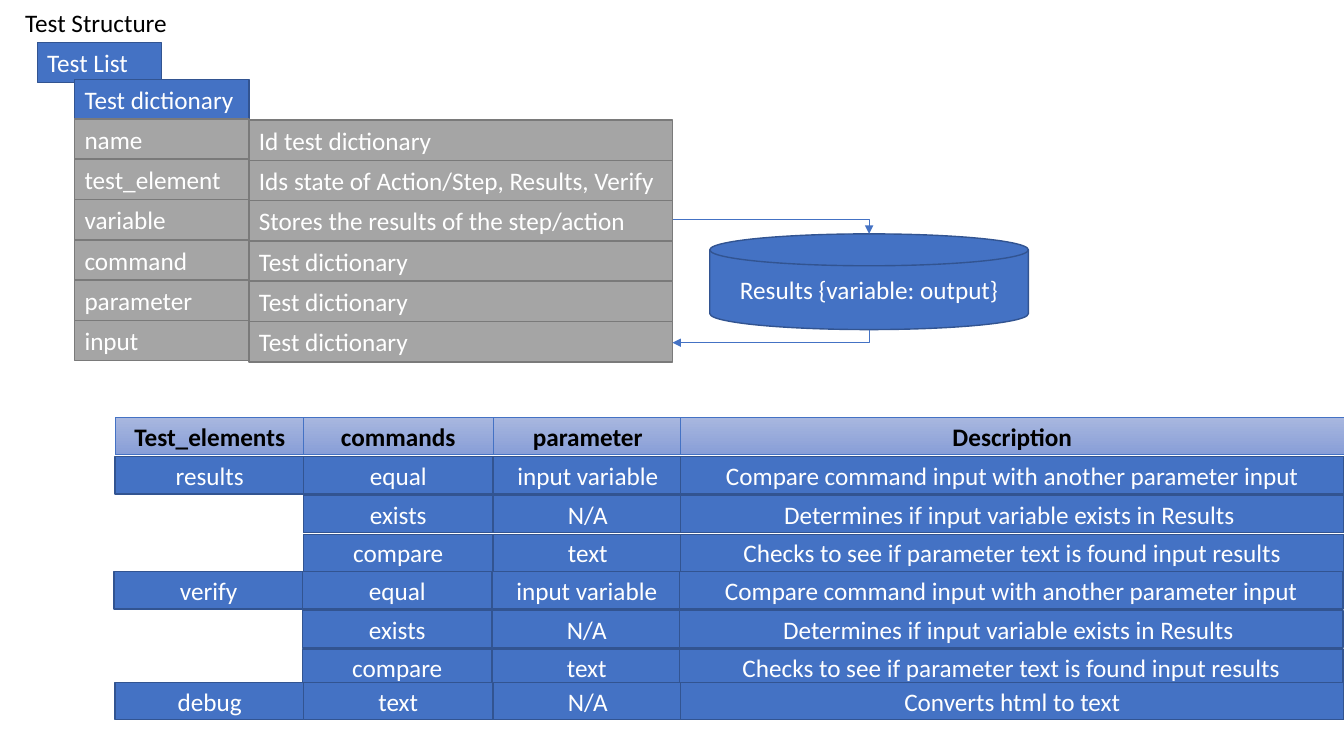
from pptx import Presentation
from pptx.dml.color import RGBColor
from pptx.enum.shapes import MSO_CONNECTOR, MSO_SHAPE as Shape
from pptx.enum.text import MSO_ANCHOR as Anchor, MSO_AUTO_SIZE as AutoSize, PP_ALIGN as Align
from pptx.oxml.ns import qn
from pptx.util import Inches, Pt
from lxml.etree import SubElement

COLORS = {
    "blue": "4472C4", "blue_edge": "325491",
    "gray": "A5A5A5", "gray_edge": "7A7A7A",
    "head_top": "A8B7DF", "head_bottom": "889ED7",
    "white": "FFFFFF", "black": "000000",
}


def rgb(name):
    return RGBColor.from_string(COLORS[name])


class SlideBuilder:
    font = "Calibri"
    size = Pt(18)

    def __init__(self, slide):
        self.slide = slide

    def set_text(self, shape, text, color, align=Align.LEFT, anchor=Anchor.TOP, bold=False):
        frame = shape.text_frame
        frame.text = text
        frame.vertical_anchor = anchor
        paragraph = frame.paragraphs[0]
        paragraph.alignment = align
        font = paragraph.runs[0].font
        font.name, font.size, font.bold = self.font, self.size, bold
        font.color.rgb = rgb(color)

    def title(self, text, left, top, width, height):
        heading = self.slide.shapes.title
        heading.left, heading.top = Inches(left), Inches(top)
        heading.width, heading.height = Inches(width), Inches(height)
        self.set_text(heading, text, "black")
        heading.text_frame.word_wrap = False
        heading.text_frame.auto_size = AutoSize.SHAPE_TO_FIT_TEXT

    def block(self, kind, left, top, width, height, fill, edge, edge_width=1):
        shape = self.slide.shapes.add_shape(
            kind, Inches(left), Inches(top), Inches(width), Inches(height))
        shape.shadow.inherit = False
        if fill == "gradient":
            shape.fill.gradient()
            shape.fill.gradient_angle = 270
            for stop, color in zip(shape.fill.gradient_stops, ("head_top", "head_bottom")):
                stop.color.rgb = rgb(color)
        else:
            shape.fill.solid()
            shape.fill.fore_color.rgb = rgb(fill)
        shape.line.color.rgb = rgb(edge)
        shape.line.width = Pt(edge_width)
        return shape

    def label(self, text, left, top, width, height=0.4, color="blue"):
        box = self.block(Shape.RECTANGLE, left, top, width, height, color, color + "_edge")
        self.set_text(box, text, "white")
        box.text_frame.word_wrap = True
        box.text_frame.auto_size = AutoSize.SHAPE_TO_FIT_TEXT

    def store(self, text, left, top, width, height):
        disk = self.block(Shape.FLOWCHART_MAGNETIC_DISK, left, top, width, height,
                          "blue", "blue_edge")
        self.set_text(disk, text, "white", Align.CENTER, Anchor.MIDDLE)

    def cell(self, text, left, top, width, height, header=False):
        style = ("gradient", "blue", 0.5) if header else ("blue", "blue_edge", 1)
        box = self.block(Shape.FLOWCHART_PROCESS, left, top, width, height, *style)
        self.set_text(box, text, "black" if header else "white",
                      Align.CENTER, Anchor.MIDDLE, header)

    def elbow_arrow(self, left, top, width, height, quarter_turns=0):
        """One-bend arrow; the box is given as it lies before turning."""
        arrow = self.slide.shapes.add_connector(
            MSO_CONNECTOR.ELBOW, Inches(left), Inches(top),
            Inches(left + width), Inches(top + height))
        arrow.line.color.rgb = rgb("blue")
        arrow.line.width = Pt(0.5)
        properties = arrow.element.spPr
        properties.find(qn("a:prstGeom")).set("prst", "bentConnector2")
        if quarter_turns:
            properties.find(qn("a:xfrm")).set("rot", str(quarter_turns * 5400000))
        SubElement(properties.find(qn("a:ln")), qn("a:tailEnd"), type="triangle")
        SubElement(properties, qn("a:effectLst"))


DICTIONARY = [
    ("name", "Id test dictionary"),
    ("test_element", "Ids state of Action/Step, Results, Verify"),
    ("variable", "Stores the results of the step/action"),
    ("command", "Test dictionary"),
    ("parameter", "Test dictionary"),
    ("input", "Test dictionary"),
]
CHECKS = [
    ("equal", "input variable", "Compare command input with another parameter input"),
    ("exists", "N/A", "Determines if input variable exists in Results "),
    ("compare", "text", "Checks to see if parameter text is found input results"),
]
# Each group: element, left, top, rows of command, parameter, description
GROUPS = [
    ("Test_elements", 1.14, 4.14, [("commands", "parameter", "Description")]),
    ("results", 1.14, 4.53, CHECKS),
    ("verify", 1.13, 5.67, CHECKS),
    ("debug", 1.14, 6.77, [("text", "N/A", "Converts html to text")]),
]
COLUMNS = [(0, 1.88), (1.87, 1.88), (3.75, 1.88), (5.61, 6.58)]  # offset, width
ROW_PITCH, ROW_HEIGHT = 0.385, 0.37


def main():
    prs = Presentation()
    prs.slide_width, prs.slide_height = Inches(13.33), Inches(7.5)
    page = SlideBuilder(prs.slides.add_slide(prs.slide_layouts[5]))

    # Test list and its dictionary
    page.title("Test Structure", 0.15, 0.02, 1.62, 0.4)
    page.label("Test List", 0.37, 0.42, 1.23)
    page.label("Test dictionary", 0.74, 0.79, 1.73)
    for row, (key, meaning) in enumerate(DICTIONARY):
        top = 1.18 + 0.4 * row
        page.label(key, 0.74, top, 1.73, color="gray")
        page.label(meaning, 2.47, top + 0.01, 4.2, color="gray")

    # Results store, filled by "variable" and used by "input"
    page.store("Results {variable: output}", 7.04, 2.32, 3.16, 0.95)
    page.elbow_arrow(6.67, 2.18, 1.95, 0.14)
    page.elbow_arrow(7.58, 2.36, 0.13, 1.95, quarter_turns=1)

    # Grid of test elements
    for element, left, group_top, rows in GROUPS:
        for row, details in enumerate(rows):
            texts = (element if row == 0 else "", *details)
            for (offset, width), text in zip(COLUMNS, texts):
                if text:
                    page.cell(text, left + offset, group_top + ROW_PITCH * row,
                              width, ROW_HEIGHT, header=element == "Test_elements")

    prs.save("out.pptx")


if __name__ == "__main__":
    main()
